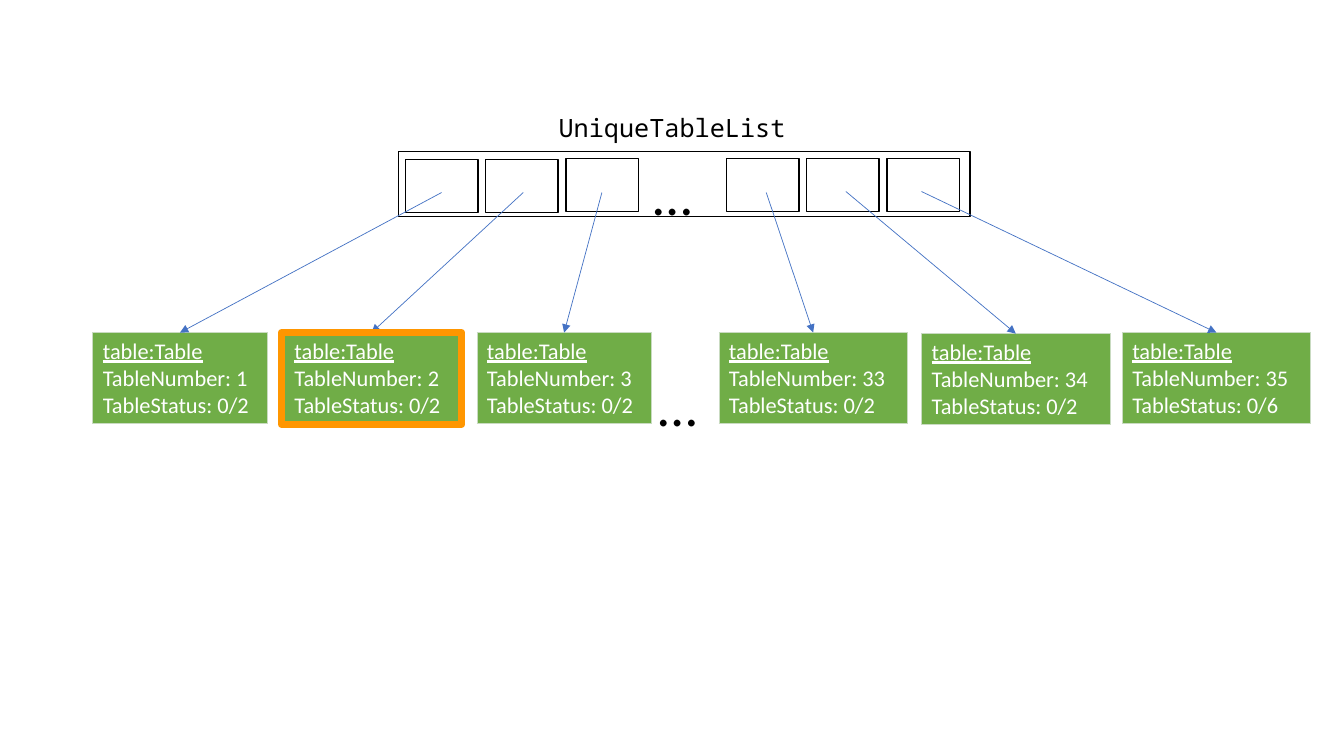
from typing import NamedTuple

from lxml.etree import SubElement
from pptx import Presentation
from pptx.dml.color import RGBColor
from pptx.enum.shapes import MSO_CONNECTOR as Link, MSO_SHAPE as Shape
from pptx.enum.text import MSO_ANCHOR as Anchor, MSO_AUTO_SIZE as Fit, PP_ALIGN as Align
from pptx.oxml.ns import qn
from pptx.slide import Slide
from pptx.text.text import TextFrame
from pptx.util import Inches, Pt

BLACK = RGBColor(0x00, 0x00, 0x00)
WHITE = RGBColor(0xFF, 0xFF, 0xFF)
GREEN = RGBColor(0x70, 0xAD, 0x47)
PALE = RGBColor(0xC9, 0xDB, 0xC1)
BLUE = RGBColor(0x44, 0x72, 0xC4)
ORANGE = RGBColor(0xFF, 0x96, 0x00)
SANS, MONO = "Calibri", "Noto Sans Mono"


class Node(NamedTuple):
    """A table object, and the start of the arrow that leads to it."""
    num: int
    seats: int
    left: float
    top: float
    width: float
    tip_x: float
    tip_y: float


NODES = [
    Node(1, 2, 0.92, 3.3, 1.73, 4.38, 1.91),
    Node(2, 2, 2.82, 3.3, 1.73, 5.19, 1.91),
    Node(3, 2, 4.73, 3.3, 1.73, 5.97, 1.91),
    Node(33, 2, 7.13, 3.3, 1.87, 7.6, 1.91),
    Node(34, 2, 9.14, 3.31, 1.87, 8.39, 1.9),
    Node(35, 6, 11.13, 3.3, 1.87, 9.14, 1.9),
]
SLOTS = [0, 1, 2, 4, 5, 6]  # the dots stand in for slot 3
SLOT_X, SLOT_STEP = 4.02, 0.796


def add_run(frame: TextFrame, row: int, text: str, size: int, face: str,
            color: RGBColor, under: bool = False) -> None:
    para = frame.paragraphs[0] if row == 0 else frame.add_paragraph()
    run = para.add_run()
    run.text = text
    font = run.font
    font.name, font.size = face, Pt(size)
    font.bold, font.underline = False, under
    font.color.rgb = color


def add_frame(slide: Slide, left: float, top: float, width: float,
              height: float, color: RGBColor, weight: float) -> None:
    box = slide.shapes.add_shape(Shape.RECTANGLE, Inches(left), Inches(top),
                                 Inches(width), Inches(height))
    box.shadow.inherit = False
    box.fill.background()
    box.line.color.rgb = color
    box.line.width = Pt(weight)


def add_dots(slide: Slide, left: float, top: float) -> None:
    box = slide.shapes.add_textbox(Inches(left), Inches(top), Inches(0.33), Inches(0.77))
    box.text_frame.word_wrap = True
    add_run(box.text_frame, 0, "…", 40, SANS, BLACK)


def add_node(slide: Slide, node: Node) -> None:
    table = slide.shapes.add_table(1, 1, Inches(node.left), Inches(node.top),
                                   Inches(node.width), Inches(0.9)).table
    table.first_row = table.horz_banding = False
    cell = table.cell(0, 0)
    lines = ["table:Table", f"TableNumber: {node.num}", f"TableStatus: 0/{node.seats}"]
    for row, text in enumerate(lines):
        add_run(cell.text_frame, row, text, 16, SANS, WHITE, row == 0)
    # Borders come before the fill in the cell properties
    props = cell._tc.get_or_add_tcPr()
    for side in ("a:lnL", "a:lnR", "a:lnT", "a:lnB"):
        edge = SubElement(props, qn(side), w=str(Pt(0.5)))
        paint = SubElement(edge, qn("a:solidFill"))
        SubElement(paint, qn("a:srgbClr"), val=str(PALE))
    cell.fill.solid()
    cell.fill.fore_color.rgb = GREEN


def add_arrow(slide: Slide, node: Node) -> None:
    arrow = slide.shapes.add_connector(
        Link.STRAIGHT, Inches(node.tip_x), Inches(node.tip_y),
        Inches(node.left + node.width / 2), Inches(node.top))
    arrow.line.color.rgb = BLUE
    arrow.line.width = Pt(0.5)
    SubElement(arrow.line._get_or_add_ln(), qn("a:tailEnd"), type="triangle")
    SubElement(arrow._element.spPr, qn("a:effectLst"))


def add_title(slide: Slide, text: str) -> None:
    title = slide.shapes.title
    title.left, title.top = Inches(4.91), Inches(1.06)
    title.width, title.height = Inches(3.51), Inches(0.4)
    frame = title.text_frame
    frame.word_wrap, frame.auto_size = True, Fit.NONE
    frame.vertical_anchor = Anchor.TOP
    add_run(frame, 0, text, 18, MONO, BLACK)
    frame.paragraphs[0].alignment = Align.CENTER


def main() -> None:
    deck = Presentation()
    deck.slide_width, deck.slide_height = Inches(13.33), Inches(7.5)
    slide = deck.slides.add_slide(deck.slide_layouts[5])

    # List with its slots
    add_title(slide, "UniqueTableList")
    add_frame(slide, 3.95, 1.5, 5.67, 0.65, BLACK, 1)
    for slot in SLOTS:
        top = 1.58 if slot < 2 else 1.57
        add_frame(slide, SLOT_X + slot * SLOT_STEP, top, 0.72, 0.53, BLACK, 1)
    add_dots(slide, 6.38, 1.53)

    # Table objects and the arrows to them
    for node in NODES:
        add_node(slide, node)
        add_arrow(slide, node)
    add_dots(slide, 6.43, 3.63)

    # Highlight on table 2
    add_frame(slide, 2.79, 3.3, 1.79, 0.91, ORANGE, 5)

    deck.save("out.pptx")


if __name__ == "__main__":
    main()
